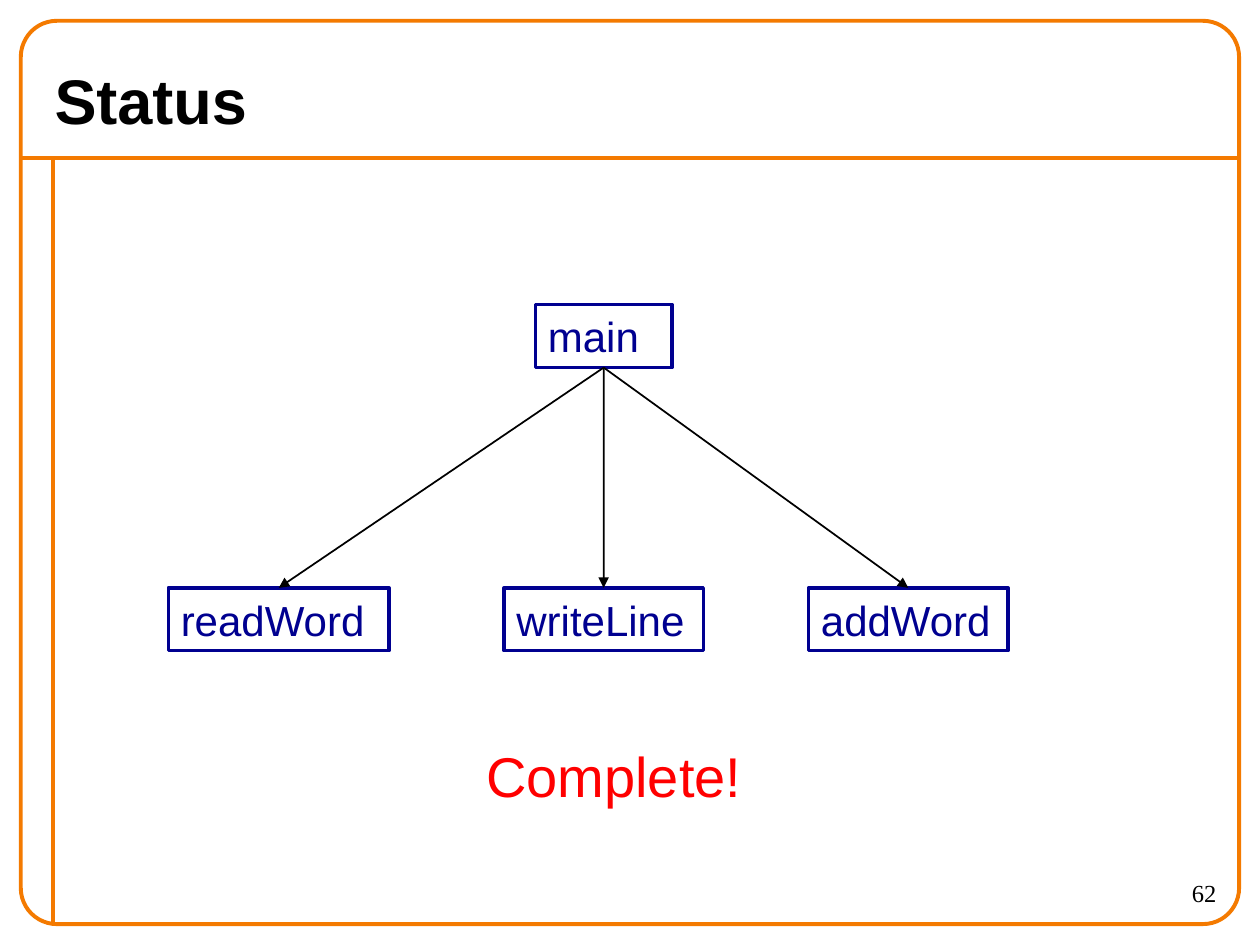
from lxml import etree
from pptx import Presentation
from pptx.dml.color import RGBColor
from pptx.enum import shapes, text
from pptx.oxml import ns
from pptx.util import Cm, Pt

ORANGE = RGBColor(0xF4, 0x7A, 0x00)
NAVY = RGBColor(0x00, 0x00, 0x90)
RED = RGBColor(0xFF, 0x00, 0x00)
BLACK = RGBColor(0x00, 0x00, 0x00)

TOP, BOTTOM = 0, 2  # connection sites of a rectangle


class SlideBuilder:
    font = "Arial"
    frame_width = Pt(2.25)
    box_width = Pt(2)
    arrow_width = Pt(1)

    def __init__(self, slide):
        self.shapes = slide.shapes

    def set_words(self, shape, words, size, color, font=None, bold=False,
                  align=text.PP_ALIGN.LEFT, anchor=text.MSO_ANCHOR.TOP, wrap=True):
        frame = shape.text_frame
        frame.text = words
        frame.word_wrap = wrap
        frame.vertical_anchor = anchor
        paragraph = frame.paragraphs[0]
        paragraph.alignment = align
        run_font = paragraph.runs[0].font
        run_font.name = font or self.font
        run_font.size = Pt(size)
        run_font.bold = bold
        run_font.color.rgb = color

    def label(self, left, top, width, height, words, size, color, **style):
        area = self.shapes.add_textbox(Cm(left), Cm(top), Cm(width), Cm(height))
        self.set_words(area, words, size, color, **style)

    def outline(self, kind, left, top, width, height, color, weight):
        shape = self.shapes.add_shape(kind, Cm(left), Cm(top), Cm(width), Cm(height))
        shape.shadow.inherit = False
        shape.fill.background()
        shape.line.color.rgb = color
        shape.line.width = weight
        return shape

    def function_box(self, name, center, top, width):
        box = self.outline(shapes.MSO_SHAPE.RECTANGLE, center - width / 2, top,
                           width, 1.27, NAVY, self.box_width)
        self.set_words(box, name, 24, NAVY)
        return box

    def line(self, x1, y1, x2, y2, color, weight):
        line = self.shapes.add_connector(shapes.MSO_CONNECTOR.STRAIGHT,
                                         Cm(x1), Cm(y1), Cm(x2), Cm(y2))
        line.line.color.rgb = color
        line.line.width = weight
        etree.SubElement(line._element.spPr, ns.qn("a:effectLst"))
        return line

    def call_arrow(self, caller, callee):
        arrow = self.line(0, 0, 0, 0, BLACK, self.arrow_width)
        arrow.begin_connect(caller, BOTTOM)
        arrow.end_connect(callee, TOP)
        stroke = arrow._element.spPr.find(ns.qn("a:ln"))
        etree.SubElement(stroke, ns.qn("a:tailEnd"), type="triangle")

    def frame(self):
        left, right, rule, bottom = 0.42, 24.98, 3.18, 18.63
        self.line(left, rule, right, rule, ORANGE, self.frame_width)
        self.line(1.06, rule, 1.06, bottom, ORANGE, self.frame_width)
        border = self.outline(shapes.MSO_SHAPE.ROUNDED_RECTANGLE, left, left,
                              right - left, bottom - left, ORANGE, self.frame_width)
        border.adjustments[0] = 0.04


def main():
    deck = Presentation()
    deck.slide_width, deck.slide_height = Cm(25.4), Cm(19.05)
    builder = SlideBuilder(deck.slides.add_slide(deck.slide_layouts[6]))

    builder.frame()
    builder.label(0.85, 1.06, 23.7, 1.9, "Status", 36, BLACK, bold=True,
                  anchor=text.MSO_ANCHOR.MIDDLE)
    builder.label(22.23, 17.57, 2.54, 1.06, "62", 14, BLACK,
                  font="Times New Roman", align=text.PP_ALIGN.RIGHT)

    caller = builder.function_box("main", 12.17, 6.14, 2.75)
    callees = [("readWord", 5.62, 4.45), ("writeLine", 12.17, 4.02),
               ("addWord", 18.31, 4.02)]
    called_boxes = [builder.function_box(name, center, 11.85, width)
                    for name, center, width in callees]
    for box in called_boxes:
        builder.call_arrow(caller, box)

    builder.label(9.55, 14.82, 5.66, 1.63, "Complete!", 32, RED, wrap=False)
    deck.save("out.pptx")


if __name__ == "__main__":
    main()
